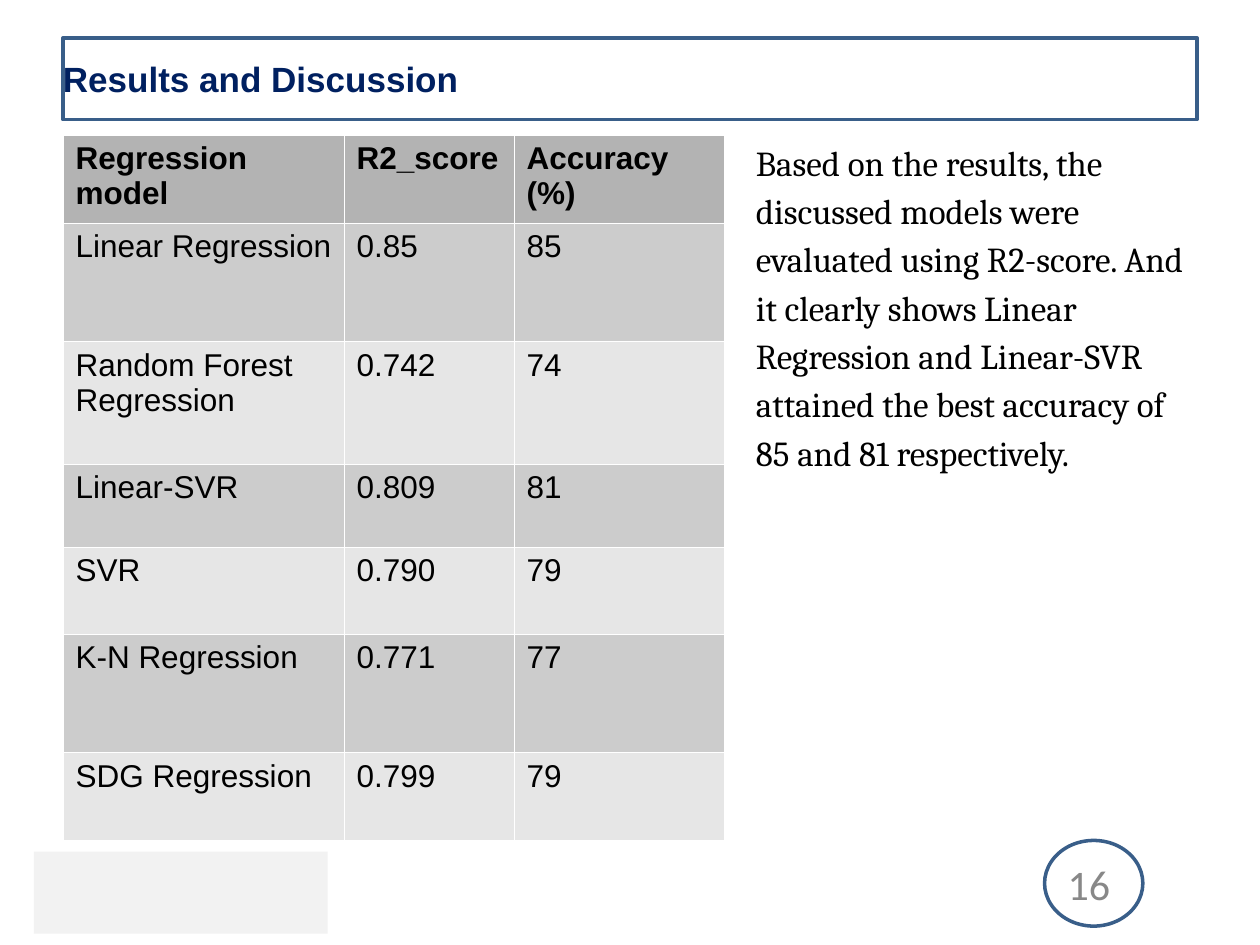
from dataclasses import dataclass

from lxml.etree import SubElement
from pptx import Presentation
from pptx.dml.color import RGBColor
from pptx.enum.shapes import MSO_SHAPE as SHAPE
from pptx.enum.text import MSO_ANCHOR as ANCHOR, PP_ALIGN as ALIGN
from pptx.oxml.ns import qn
from pptx.util import Inches, Pt


@dataclass(frozen=True)
class Theme:
    frame: str = "395E89"
    panel: str = "F2F2F2"
    title: str = "002060"
    number: str = "888888"
    text: str = "000000"
    border: str = "FFFFFF"
    header: str = "B3B3B3"
    bands: tuple = ("CCCCCC", "E6E6E6")
    sans: str = "Arial"
    serif: str = "Cambria"
    number_font: str = "Calibri"
    body_size: int = 20
    table_size: int = 18
    number_size: int = 24
    frame_width: int = 2
    border_width: float = 0.06


THEME = Theme()
COLUMNS = [2.23, 1.35, 1.67]
ROW_HEIGHTS = [0.65, 0.94, 0.97, 0.66, 0.69, 0.94, 0.7]
RESULTS = [
    ("Regression model", "R2_score", "Accuracy (%)"),
    ("Linear Regression", "0.85", "85"),
    ("Random Forest Regression", "0.742", "74"),
    ("Linear-SVR", "0.809", "81"),
    ("SVR", "0.790", "79"),
    ("K-N Regression", "0.771", "77"),
    ("SDG Regression", "0.799", "79"),
]
SUMMARY = (
    "Based on the results, the discussed models were evaluated using R2-score. "
    "And it clearly shows Linear Regression and Linear-SVR attained the best "
    "accuracy of 85 and 81 respectively."
)


def set_attrs(obj, values):
    for name, value in values.items():
        setattr(obj, name, value)


def paint(fill, color):
    fill.solid()
    fill.fore_color.rgb = RGBColor.from_string(color)


def write(tf, text, font, size, color, bold=False):
    p = tf.paragraphs[0]
    r = p.add_run()
    r.text = text
    set_attrs(r.font, {"name": font, "size": Pt(size), "bold": bold})
    r.font.color.rgb = RGBColor.from_string(color)
    return p


def add_outline(s, kind, x, y, w, h):
    sp = s.shapes.add_shape(kind, Inches(x), Inches(y), Inches(w), Inches(h))
    sp.shadow.inherit = False
    sp.fill.background()
    sp.line.color.rgb = RGBColor.from_string(THEME.frame)
    sp.line.width = Pt(THEME.frame_width)


def add_text(s, x, y, w, h, margins=(0, 0), anchor=ANCHOR.TOP):
    box = s.shapes.add_textbox(Inches(x), Inches(y), Inches(w), Inches(h))
    side, edge = map(Inches, margins)
    set_attrs(box.text_frame, {
        "word_wrap": True, "vertical_anchor": anchor,
        "margin_left": side, "margin_right": side,
        "margin_top": edge, "margin_bottom": edge,
    })
    return box.text_frame


def add_title(s, x, y, w, h):
    add_outline(s, SHAPE.RECTANGLE, x, y, w, h)
    tf = add_text(s, x, y + 0.12, w - 0.17, 0.4, anchor=ANCHOR.MIDDLE)
    write(tf, "Results and Discussion", THEME.sans, THEME.body_size, THEME.title, True)


def add_borders(cell):
    tc_pr = cell._tc.get_or_add_tcPr()
    for side in ("a:lnL", "a:lnR", "a:lnT", "a:lnB"):
        ln = SubElement(tc_pr, qn(side), w=str(Pt(THEME.border_width)))
        SubElement(SubElement(ln, qn("a:solidFill")), qn("a:srgbClr"), val=THEME.border)


def add_results(s, x, y):
    table = s.shapes.add_table(
        len(RESULTS), len(COLUMNS), Inches(x), Inches(y),
        Inches(sum(COLUMNS)), Inches(sum(ROW_HEIGHTS)),
    ).table
    for col, width in zip(table.columns, COLUMNS):
        col.width = Inches(width)
    for i, (row, height, values) in enumerate(zip(table.rows, ROW_HEIGHTS, RESULTS)):
        row.height = Inches(height)
        color = THEME.bands[(i - 1) % 2] if i else THEME.header
        for cell, value in zip(row.cells, values):
            write(cell.text_frame, value, THEME.sans, THEME.table_size, THEME.text, i == 0)
            add_borders(cell)
            paint(cell.fill, color)


def add_summary(s, x, y, w, h):
    p = write(add_text(s, x, y, w, h), SUMMARY, THEME.serif, THEME.body_size, THEME.text)
    set_attrs(p, {"line_spacing": 1.15, "space_after": Pt(12.4)})


def add_footer(s, x, y):
    panel = s.shapes.add_shape(
        SHAPE.RECTANGLE, Inches(x), Inches(y + 0.09), Inches(2.33), Inches(0.65))
    panel.shadow.inherit = False
    paint(panel.fill, THEME.panel)
    panel.line.fill.background()
    add_outline(s, SHAPE.OVAL, x + 8.02, y, 0.78, 0.68)
    tf = add_text(s, x + 6.31, y + 0.1, 2.33, 0.48, (0.1, 0.05), ANCHOR.MIDDLE)
    p = write(tf, "16", THEME.number_font, THEME.number_size, THEME.number)
    p.alignment = ALIGN.RIGHT


def main():
    prs = Presentation()
    set_attrs(prs, {"slide_width": Inches(10), "slide_height": Inches(7.5)})
    s = prs.slides.add_slide(prs.slide_layouts[6])
    add_footer(s, 0.27, 6.67)
    add_title(s, 0.5, 0.3, 9, 0.65)
    add_results(s, 0.5, 1.07)
    add_summary(s, 6, 1.07, 3.5, 4.93)
    prs.save("out.pptx")


if __name__ == "__main__":
    main()
